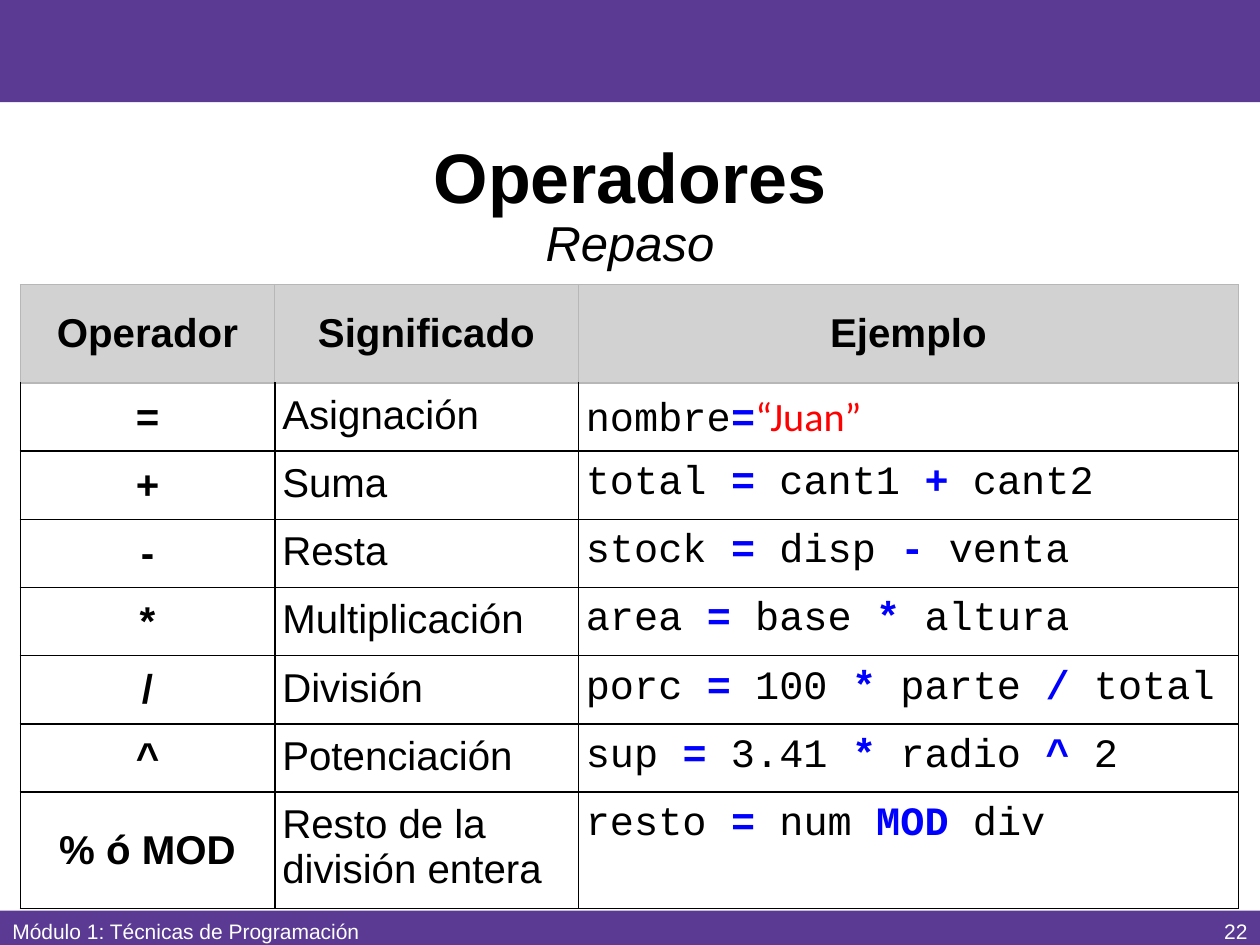
from dataclasses import dataclass

from lxml import etree
from pptx import Presentation
from pptx import util as u
from pptx.dml.color import RGBColor
from pptx.enum import shapes, text
from pptx.oxml.ns import qn


@dataclass(frozen=True)
class Theme:
    purple: str = "5A3A92"
    header: str = "D2D2D3"
    header_line: str = "B7B7B7"
    ink: str = "000000"
    white: str = "FFFFFF"
    operator: str = "0000FF"
    literal: str = "FF0000"
    sans: str = "Arial"
    code: str = "Courier New"
    quote: str = "Calibri"
    title: float = 40
    subtitle: float = 28
    body: float = 23
    footer: float = 12
    header_width: float = 0.75
    grid_width: float = 1


THEME = Theme()
LEFT, CENTER, RIGHT = (text.PP_ALIGN.LEFT, text.PP_ALIGN.CENTER, text.PP_ALIGN.RIGHT)
HEADINGS = ["Operador", "Significado", "Ejemplo"]
OPERATORS = [
    ("=", "Asignación", "nombre|=|“Juan”"),
    ("+", "Suma", "total |=| cant1 |+| cant2"),
    ("-", "Resta", "stock |= |disp |-| venta"),
    ("*", "Multiplicación", "area |=| base |*| altura"),
    ("/", "División", "porc |=| 100 |*| parte |/| total"),
    ("^", "Potenciación", "sup |=| 3.41 |*| radio |^| 2"),
    ("% ó MOD", "Resto de la división entera", "resto |= |num |MOD| div"),
]


class SlideBuilder:
    def __init__(self, slide, theme):
        self.slide = slide
        self.theme = theme

    def apply(self, target, values):
        for name, value in values.items():
            setattr(target, name, value)

    def span(self, para, words, size, **values):
        span = para.add_run()
        span.text = words
        color = values.pop("color", self.theme.ink)
        base = {"name": self.theme.sans, "size": u.Pt(size), "bold": False}
        self.apply(span.font, base | values)
        span.font.color.rgb = RGBColor.from_string(color)

    def bar(self, top, height):
        bar = self.slide.shapes.add_shape(
            shapes.MSO_SHAPE.RECTANGLE, 0, u.Cm(top), u.Cm(25.4), u.Cm(height))
        bar.shadow.inherit = False
        bar.fill.solid()
        bar.fill.fore_color.rgb = RGBColor.from_string(self.theme.purple)
        bar.line.fill.background()

    def text_box(self, left, top, width, height, align):
        box = self.slide.shapes.add_textbox(*map(u.Cm, (left, top, width, height)))
        self.apply(box.text_frame, {
            "word_wrap": True, "vertical_anchor": text.MSO_ANCHOR.MIDDLE})
        para = box.text_frame.paragraphs[0]
        para.alignment = align
        return para

    def title(self, heading, subheading):
        para = self.text_box(1.75, 2.49, 21.9, 3.38, CENTER)
        para.line_spacing = 0.9
        self.span(para, heading, self.theme.title, bold=True)
        para.add_line_break()
        self.span(para, subheading, self.theme.subtitle, italic=True)

    def footer(self, left, width, words, align):
        para = self.text_box(left, 18.26, width, 1.02, align)
        self.span(para, words, self.theme.footer, color=self.theme.white)

    def border(self, cell, side, color, width):
        line = etree.SubElement(cell._tc.get_or_add_tcPr(), qn(f"a:ln{side}"),
                                w=str(u.Pt(width)))
        fill = etree.SubElement(line, qn("a:solidFill"))
        etree.SubElement(fill, qn("a:srgbClr"), val=color)

    def cell(self, cell, row, centered):
        theme = self.theme
        anchor = text.MSO_ANCHOR.MIDDLE if centered else text.MSO_ANCHOR.TOP
        self.apply(cell, {
            "margin_left": u.Cm(0.15), "margin_right": u.Cm(0.15),
            "margin_top": u.Cm(0.2), "margin_bottom": u.Cm(0.2),
            "vertical_anchor": anchor})
        for side in "LRTB":
            if row == 0 or (row == 1 and side == "T"):
                self.border(cell, side, theme.header_line, theme.header_width)
            else:
                self.border(cell, side, theme.ink, theme.grid_width)
        if row == 0:
            cell.fill.solid()
            cell.fill.fore_color.rgb = RGBColor.from_string(theme.header)
        else:
            cell.fill.background()
        para = cell.text_frame.paragraphs[0]
        para.alignment = CENTER if centered else LEFT
        return para

    def example(self, para, code):
        theme = self.theme
        for index, piece in enumerate(code.split("|")):
            if index % 2:
                values = {"name": theme.code, "color": theme.operator, "bold": True}
            elif piece.startswith("“"):
                values = {"name": theme.quote, "color": theme.literal}
            else:
                values = {"name": theme.code}
            self.span(para, piece, theme.body, **values)

    def table(self, headings, records):
        widths = [5.13, 6.12, 13.31]
        heights = [1.98] + [1.35] * (len(records) - 1) + [2.31]
        table = self.slide.shapes.add_table(
            len(heights), len(widths), u.Cm(0.41), u.Cm(5.74),
            u.Cm(sum(widths)), u.Cm(sum(heights))).table
        self.apply(table, {"first_row": False, "horz_banding": False})
        for column, width in zip(table.columns, widths):
            column.width = u.Cm(width)
        for row, height in zip(table.rows, heights):
            row.height = u.Cm(height)
        for row, record in enumerate([headings, *records]):
            for column, words in enumerate(record):
                strong = row == 0 or column == 0
                para = self.cell(table.cell(row, column), row, strong)
                if row and column == 2:
                    self.example(para, words)
                else:
                    self.span(para, words, self.theme.body, bold=strong)


def main():
    deck = Presentation()
    deck.slide_width, deck.slide_height = u.Cm(25.4), u.Cm(19.05)
    page = SlideBuilder(deck.slides.add_slide(deck.slide_layouts[6]), THEME)
    page.bar(0, 2.06)
    page.bar(18.36, 0.79)
    page.title("Operadores", "Repaso")
    page.footer(0, 8.59, "Módulo 1: Técnicas de Programación", LEFT)
    page.footer(19.69, 5.71, "22", RIGHT)
    page.table(HEADINGS, OPERATORS)
    deck.save("out.pptx")


if __name__ == "__main__":
    main()
